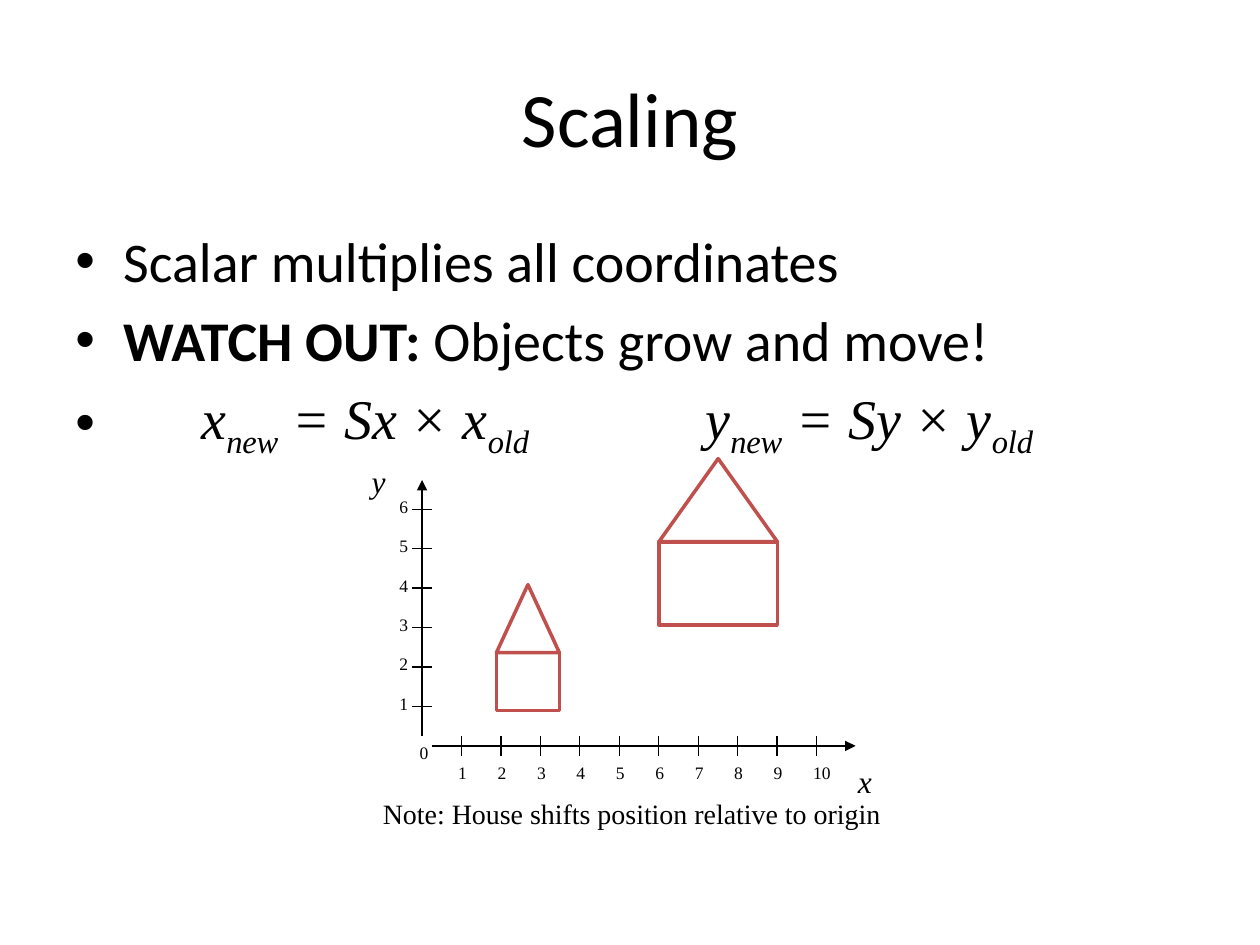
from dataclasses import dataclass

import pptx
import pptx.dml.color
import pptx.enum.shapes
import pptx.enum.text
import pptx.oxml.ns
import pptx.util
from lxml import etree

Inches = pptx.util.Inches
Pt = pptx.util.Pt
qn = pptx.oxml.ns.qn
MSO = pptx.enum.shapes.MSO_SHAPE
ALIGN = pptx.enum.text.PP_ALIGN
ANCHOR = pptx.enum.text.MSO_ANCHOR


@dataclass(frozen=True)
class Theme:
    sans: str = "Calibri"
    serif: str = "Times New Roman"
    ink: str = "000000"
    paper: str = "FFFFFF"
    house: str = "C0504D"
    title: int = 44
    body: int = 32
    axis: int = 18
    note: int = 16
    tick: int = 10
    thin: float = 0.75
    thick: float = 2


THEME = Theme()

# Graph geometry in inches
ORIGIN_X, ORIGIN_Y, UNIT = 3.35, 5.92, 0.313
TICK = 0.08  # half the length of a tick mark


def rgb(value):
    return pptx.dml.color.RGBColor.from_string(value)


def add_run(p, text, size, font, bold=False, italic=False, sub=False):
    r = p.add_run()
    r.text = text
    r.font.size = Pt(size)
    r.font.name = font
    r.font.bold = bold
    r.font.italic = italic
    r.font.color.rgb = rgb(THEME.ink)
    if sub:
        r.font._element.set("baseline", "-25000")


def add_box(s, left, top, width, height):
    sp = s.shapes.add_textbox(Inches(left), Inches(top), Inches(width), Inches(height))
    sp.text_frame.word_wrap = True
    return sp


def add_label(s, text, left, top, width, height, size, italic=False):
    sp = add_box(s, left, top, width, height)
    add_run(sp.text_frame.paragraphs[0], text, size, THEME.serif, italic=italic)
    return sp


def add_tick_label(s, text, left, top):
    sp = add_label(s, text, left, top, 0.37, 0.27, THEME.tick)
    sp.text_frame.margin_left = Inches(0.13)
    sp.text_frame.margin_right = 0


def add_line(s, x1, y1, x2, y2, arrow=False):
    line = s.shapes.add_connector(pptx.enum.shapes.MSO_CONNECTOR.STRAIGHT,
                                  Inches(x1), Inches(y1), Inches(x2), Inches(y2))
    line.line.color.rgb = rgb(THEME.ink)
    line.line.width = Pt(THEME.thin)
    if arrow:
        etree.SubElement(line.line._get_or_add_ln(), qn("a:tailEnd"), type="triangle")
    etree.SubElement(line._element.spPr, qn("a:effectLst"))


def add_house(s, left, top, width, roof, wall):
    parts = ((MSO.RECTANGLE, top + roof, wall),
             (MSO.ISOSCELES_TRIANGLE, top, roof))
    for kind, y, height in parts:
        sp = s.shapes.add_shape(kind, Inches(left), Inches(y), Inches(width), Inches(height))
        sp.shadow.inherit = False
        sp.fill.solid()
        sp.fill.fore_color.rgb = rgb(THEME.paper)
        sp.line.color.rgb = rgb(THEME.house)
        sp.line.width = Pt(THEME.thick)


def add_bullet(p, first):
    pPr = p._p.get_or_add_pPr()
    pPr.set("marL", str(Inches(0.38)))
    pPr.set("indent", str(-Inches(0.38)))
    pPr.set("defTabSz", str(Inches(1)))
    p.space_before = Pt(0 if first else 0.2 * THEME.body)
    etree.SubElement(pPr, qn("a:buFont"), typeface="Arial")
    etree.SubElement(pPr, qn("a:buChar"), char="•")


def add_title(s, text):
    tf = add_box(s, 0.5, 0.3, 9, 1.25).text_frame
    tf.vertical_anchor = ANCHOR.MIDDLE
    p = tf.paragraphs[0]
    p.alignment = ALIGN.CENTER
    add_run(p, text, THEME.title, THEME.sans)


def add_body(s):
    plain = dict(size=THEME.body, font=THEME.sans)
    math = dict(size=THEME.body, font=THEME.serif, italic=True)
    low = dict(math, sub=True)
    bullets = (
        (("Scalar multiplies all coordinates", plain),),
        (("WATCH OUT:", dict(plain, bold=True)), (" Objects grow and move!", plain)),
        (("\tx", math), ("new", low), (" = Sx × x", math), ("old\t\t", low),
         ("y", math), ("new", low), (" = Sy × y", math), ("old", low)),
    )
    tf = add_box(s, 0.5, 1.75, 9, 4.95).text_frame
    for i, runs in enumerate(bullets):
        p = tf.add_paragraph() if i else tf.paragraphs[0]
        add_bullet(p, first=i == 0)
        for text, style in runs:
            add_run(p, text, **style)


def add_axes(s):
    add_line(s, ORIGIN_X, ORIGIN_Y - TICK, ORIGIN_X, 3.81, arrow=True)
    add_line(s, ORIGIN_X + TICK, ORIGIN_Y, 6.79, ORIGIN_Y, arrow=True)
    add_tick_label(s, "0", 3.2, 5.84)
    for n in range(1, 11):
        x = ORIGIN_X + n * UNIT
        add_line(s, x, ORIGIN_Y - TICK, x, ORIGIN_Y + TICK)
        add_tick_label(s, str(n), x - UNIT / 2, 6)
    for n in range(1, 7):
        y = ORIGIN_Y - n * UNIT
        add_line(s, ORIGIN_X - TICK, y, ORIGIN_X + TICK, y)
        add_tick_label(s, str(n), 3.04, y - UNIT / 2)
    add_label(s, "y", 2.85, 3.62, 0.31, 0.4, THEME.axis, italic=True)
    add_label(s, "x", 6.71, 6, 0.31, 0.4, THEME.axis, italic=True)


def main():
    prs = pptx.Presentation()
    prs.slide_width, prs.slide_height = Inches(10), Inches(7.5)
    s = prs.slides.add_slide(prs.slide_layouts[6])

    # Heading and bullets
    add_title(s, "Scaling")
    add_body(s)

    # Graph with the house before and after scaling
    add_axes(s)
    add_house(s, 5.23, 3.64, 0.94, roof=0.66, wall=0.66)
    add_house(s, 3.94, 4.64, 0.5, roof=0.54, wall=0.46)
    add_label(s, "Note: House shifts position relative to origin",
              2.94, 6.27, 4.25, 0.37, THEME.note)

    prs.save("out.pptx")


if __name__ == "__main__":
    main()
